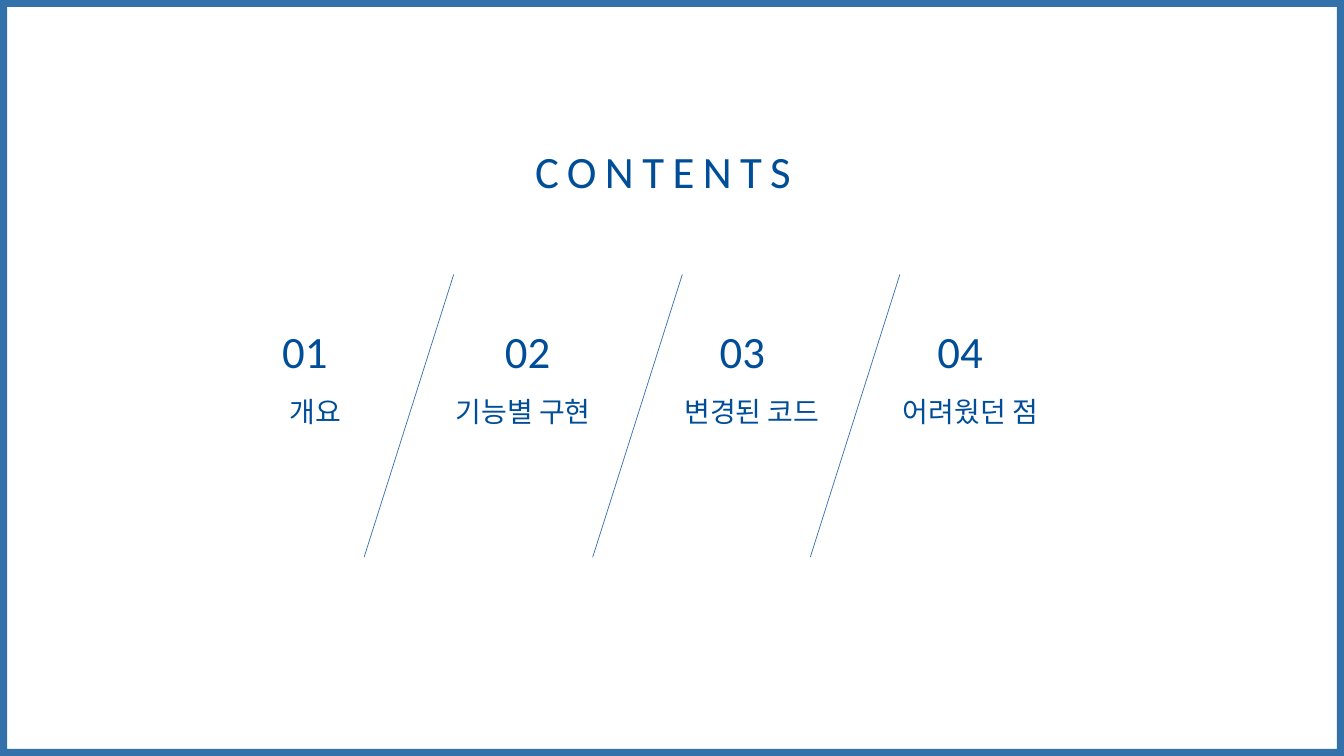
from lxml.etree import SubElement
from pptx import Presentation
from pptx.dml.color import RGBColor
from pptx.enum.shapes import MSO_CONNECTOR, MSO_SHAPE
from pptx.enum.text import MSO_AUTO_SIZE, PP_ALIGN
from pptx.oxml import parse_xml
from pptx.oxml.ns import nsdecls, qn
from pptx.util import Pt

BLUE = "004E97"
WIDTH, HEIGHT = 960, 540

# Number left, label left, label width, topic
TOPICS = [
    (201.6, 161.3, 128.2, "개요"),
    (360.7, 309.6, 128.2, "기능별 구현"),
    (514.1, 473, 128.2, "변경된 코드"),
    (669.6, 605.5, 175.7, "어려웠던 점"),
]
DIVIDER_TOPS = [324.1, 487.4, 642.8]


def color(value):
    return RGBColor.from_string(value)


def style_line(line, width, opacity=80):
    line.width = Pt(width)
    line.color.rgb = color(BLUE)
    clr = line._get_or_add_ln().find(f".//{qn('a:srgbClr')}")
    SubElement(clr, qn("a:alpha"), val=str(opacity * 1000))


def add_text(slide, text, x, y, w, h, size=20, align=PP_ALIGN.CENTER,
             spacing=None, outline=None):
    tf = slide.shapes.add_textbox(Pt(x), Pt(y), Pt(w), Pt(h)).text_frame
    tf.word_wrap = True
    tf.auto_size = MSO_AUTO_SIZE.SHAPE_TO_FIT_TEXT
    tf.margin_left = tf.margin_right = tf.margin_top = tf.margin_bottom = 0
    p = tf.paragraphs[0]
    p.alignment = align
    r = p.add_run()
    r.text = text
    r.font.name = "Calibri"
    r.font.size = Pt(size)
    r.font.color.rgb = color(BLUE)
    rpr = r.font._element
    if spacing:
        rpr.set("spc", str(spacing * 100))
    if outline:
        rpr.insert(0, parse_xml(
            f'<a:ln {nsdecls("a")} w="{Pt(outline)}"><a:solidFill>'
            f'<a:srgbClr val="{BLUE}"/></a:solidFill></a:ln>'))


def add_divider(slide, x):
    line = slide.shapes.add_connector(
        MSO_CONNECTOR.STRAIGHT, Pt(x), Pt(196), Pt(x - 64), Pt(398))
    style_line(line.line, 0.5)
    SubElement(line._element.spPr, qn("a:effectLst"))


def add_frame(slide):
    sp = slide.shapes.add_shape(MSO_SHAPE.RECTANGLE, 0, 0, Pt(WIDTH), Pt(HEIGHT))
    sp.shadow.inherit = False
    sp.fill.background()
    style_line(sp.line, 10)


def main():
    prs = Presentation()
    prs.slide_width, prs.slide_height = Pt(WIDTH), Pt(HEIGHT)
    slide = prs.slides.add_slide(prs.slide_layouts[6])

    # Title
    add_text(slide, "CONTENTS", 87, 103, 773.3, 38.9, size=32, spacing=6)

    # Numbered topics
    for i, (number_x, label_x, label_w, topic) in enumerate(TOPICS, 1):
        add_text(slide, f"{i:02}", number_x, 231.1, 87.8, 38.9, size=32,
                 align=PP_ALIGN.LEFT, outline=0.75)
        add_text(slide, topic, label_x, 281.5, label_w, 24.5)

    # Slanted dividers
    for x in DIVIDER_TOPS:
        add_divider(slide, x)

    # Slide border
    add_frame(slide)
    prs.save("out.pptx")


if __name__ == "__main__":
    main()
